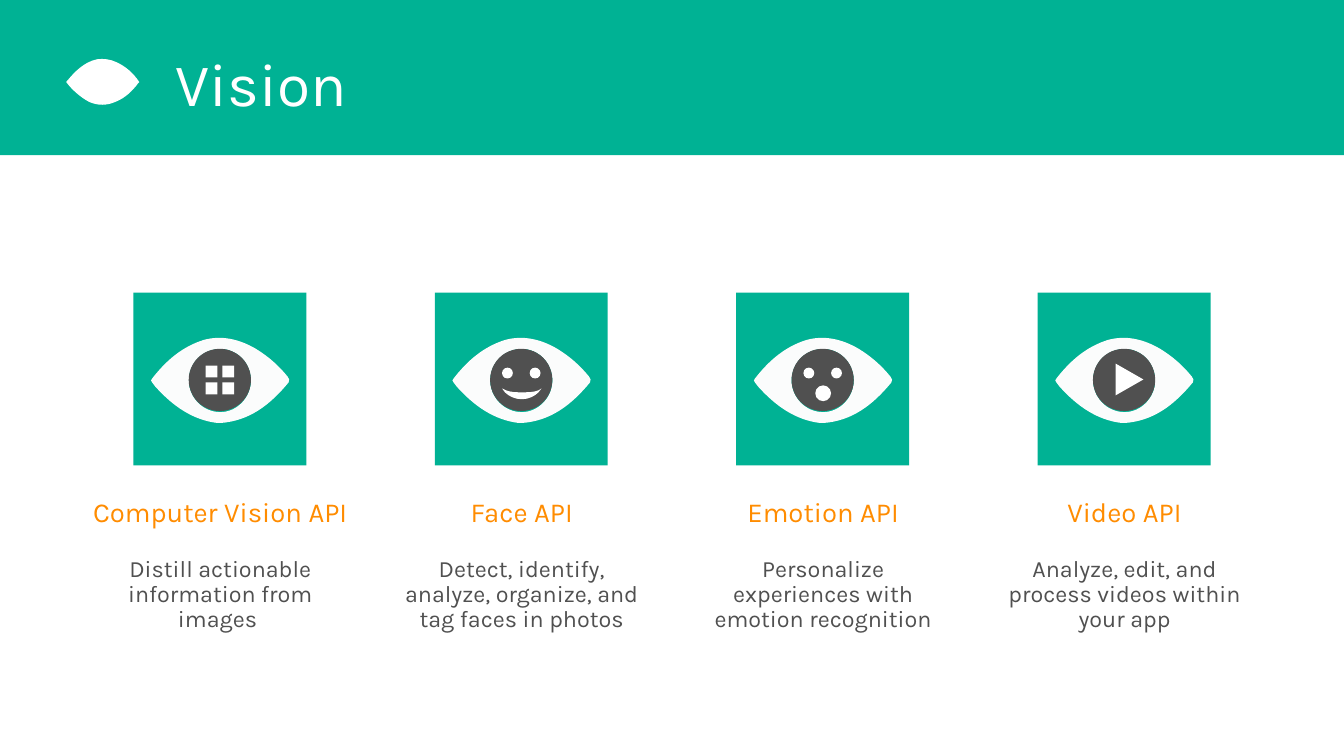
"""Build the Vision slide: a title band above four API cards with eye icons."""
from pptx import Presentation
from pptx import util as u
from pptx.dml.color import RGBColor
from pptx.enum import shapes, text
from pptx.oxml import ns

PX = 9144
FONT = "Karla"
COLORS = {"green": "00B294", "white": "FFFFFF", "eye": "FBFCFC",
          "gray": "505050", "orange": "FF8C00"}
KINDS = {"rect": shapes.MSO_SHAPE.RECTANGLE, "oval": shapes.MSO_SHAPE.OVAL,
         "triangle": shapes.MSO_SHAPE.ISOSCELES_TRIANGLE}

EYES = [("oval", 68, 76, 11, 11, 0), ("oval", 96, 76, 11, 11, 0)]
PANES = [("rect", 73 + 17 * column, 74 + 17 * row, 12, 12, 0)
         for row in range(2) for column in range(2)]
SMILE = [[(68, 97)], [(72, 99)], [(77, 101), (83, 101), (88, 101)],
         [(94, 101), (100, 101), (105, 99)], [(108, 97)], [(105, 101)],
         [(101, 105), (95, 108), (88, 108)], [(81, 108), (75, 105), (71, 101)],
         [(68, 97)]]
CARDS = [
    ("Computer Vision API", "Distill actionable information from images ", PANES, None),
    ("Face API", "Detect, identify, analyze, organize, and tag faces in photos", EYES, SMILE),
    ("Emotion API", "Personalize experiences with emotion recognition",
     EYES + [("oval", 80, 94, 16, 16, 0)], None),
    ("Video API", "Analyze, edit, and process videos within your app",
     [("triangle", 77, 74, 32, 28, 90)], None),
]
CARD_EYE = [[(156, 85)], [(147, 74), (137, 65), (124, 57)], [(107, 47), (89, 43), (71, 48)],
            [(49, 55), (33, 69), (19, 87)], [(17, 88), (18, 90), (19, 91)],
            [(20, 92), (21, 94), (22, 95)], [(40, 115), (60, 129), (85, 132)],
            [(87, 132), (87, 132), (88, 132)], [(117, 130), (138, 114), (157, 91)],
            [(159, 89), (157, 87), (156, 85)]]
IRIS_HOLE = [[(88, 121)], [(70, 121), (56, 106), (56, 89)], [(56, 71), (70, 57), (88, 57)],
             [(105, 57), (119, 71), (119, 89)], [(119, 106), (105, 121), (88, 121)]]
TITLE_EYE = [[(118, 63)], [(112, 60), (105, 59), (98, 60)], [(85, 63), (76, 72), (67, 83)],
             [(73, 91), (81, 98), (90, 103)], [(99, 107), (108, 107), (117, 103)],
             [(127, 99), (134, 92), (140, 84)], [(140, 84), (141, 83), (141, 83)],
             [(135, 74), (127, 67), (118, 63)]]
CARD_LEFT, CARD_TOP, CARD_SIZE, CARD_PITCH = 135, 296, 175, 305

TITLE = {"size": 44, "color": "white", "margins": (30, 5, 10, 5),
         "frame": {"vertical_anchor": text.MSO_ANCHOR.MIDDLE},
         "paragraph": {"alignment": text.PP_ALIGN.LEFT}}
CENTERED = {"alignment": text.PP_ALIGN.CENTER, "line_spacing": 0.9,
            "space_after": u.Pt(6)}
HEADING = {"size": 20, "color": "orange", "margins": (20, 16, 20, 16),
           "frame": {"vertical_anchor": text.MSO_ANCHOR.MIDDLE}, "paragraph": CENTERED}
BODY = {"size": 17, "color": "gray", "margins": (10, 5, 10, 5),
        "frame": {"vertical_anchor": text.MSO_ANCHOR.TOP}, "paragraph": CENTERED}


def set_all(target, values):
    for name, value in values.items():
        setattr(target, name, value)


def paint(shape, color):
    shape.shadow.inherit = False
    shape.fill.solid()
    shape.fill.fore_color.rgb = RGBColor.from_string(COLORS[color])
    shape.line.fill.background()


def add_part(parent, kind, box, color, rotation=0):
    shape = parent.add_shape(KINDS[kind], *(value * PX for value in box))
    shape.rotation = rotation
    paint(shape, color)


def add_outline(parent, contours, left, top, color):
    def place(point):
        return (left + point[0]) * PX, (top + point[1]) * PX

    builder = parent.build_freeform(*place(contours[0][0][0]), scale=1.0)
    for number, (start, *segments) in enumerate(contours):
        if number:
            builder.move_to(*place(start[0]))
        points = [place(point) for segment in segments for point in segment]
        builder.add_line_segments(points, close=True)
    shape = builder.convert_to_shape()
    lines = iter(list(shape.element.iter(ns.qn("a:lnTo"))))
    for segment in (part for contour in contours for part in contour[1:]):
        first, *others = [next(lines) for point in segment]
        if others:
            first.tag = ns.qn("a:cubicBezTo")
        for line in others:
            first.append(line[0])
            line.getparent().remove(line)
    paint(shape, color)


def add_text(parent, words, box, style):
    frame = parent.add_textbox(*(value * PX for value in box)).text_frame
    sides = ("margin_left", "margin_top", "margin_right", "margin_bottom")
    set_all(frame, {side: value * PX for side, value in zip(sides, style["margins"])})
    set_all(frame, {"word_wrap": True, **style["frame"]})
    paragraph = frame.paragraphs[0]
    set_all(paragraph, style["paragraph"])
    run = paragraph.add_run()
    run.text = words
    set_all(run.font, {"name": FONT, "size": u.Pt(style["size"])})
    run.font.color.rgb = RGBColor.from_string(COLORS[style["color"]])


def add_icon(slide, left, symbols, smile):
    icon = slide.shapes.add_group_shape().shapes
    add_part(icon, "rect", (left, CARD_TOP, CARD_SIZE, CARD_SIZE), "green")
    add_outline(icon, [CARD_EYE, IRIS_HOLE], left, CARD_TOP, "eye")
    add_part(icon, "oval", (left + 56, CARD_TOP + 57, 63, 63), "gray")
    if smile:
        add_outline(icon, [smile], left, CARD_TOP, "white")
    for kind, x, y, width, height, rotation in symbols:
        add_part(icon, kind, (left + x, CARD_TOP + y, width, height), "white", rotation)


def add_caption(slide, left, heading, body):
    caption = slide.shapes.add_group_shape().shapes
    add_text(caption, heading, (left - 72, 488, 320, 63), HEADING)
    add_text(caption, body, (left - 44, 559, 264, 87), BODY)


def main():
    presentation = Presentation()
    set_all(presentation, {"slide_width": 1360 * PX, "slide_height": 765 * PX})
    slide = presentation.slides.add_slide(presentation.slide_layouts[6])
    add_part(slide.shapes, "rect", (0, 0, 1360, 157), "green")
    lefts = [CARD_LEFT + index * CARD_PITCH for index in range(len(CARDS))]
    for left, (heading, body, symbols, smile) in reversed(list(zip(lefts, CARDS))):
        add_icon(slide, left, symbols, smile)
    for left, (heading, body, symbols, smile) in zip(lefts, CARDS):
        add_caption(slide, left, heading, body)
    add_text(slide.shapes, "Vision", (148, 41, 274, 84), TITLE)
    add_outline(slide.shapes, [TITLE_EYE], 0, 0, "white")
    presentation.save("out.pptx")


if __name__ == "__main__":
    main()
